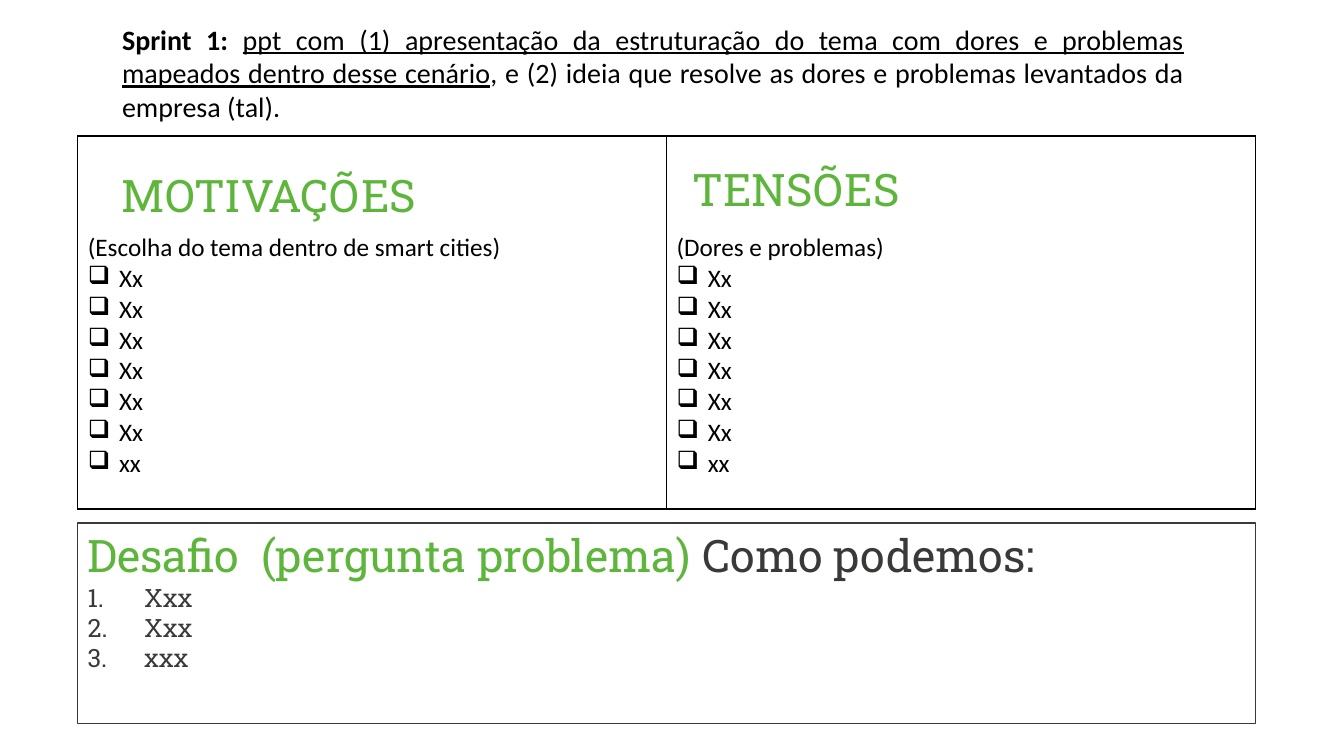
from lxml.etree import SubElement
from pptx import Presentation
from pptx.dml.color import RGBColor
from pptx.enum.shapes import MSO_SHAPE
from pptx.enum.text import MSO_ANCHOR, MSO_AUTO_SIZE, PP_ALIGN
from pptx.oxml.ns import qn
from pptx.util import Inches, Pt

WIDE, HIGH = Inches(13.33), Inches(7.5)
HUES = {"ink": "000000", "green": "5EB53B", "gray": "3B3838", "white": "FFFFFF"}
BODY = {"name": "Calibri", "size": Pt(18)}
LEAD = {"name": "Calibri", "size": Pt(20), "bold": False}
HEAD = {"name": "Roboto Slab", "size": Pt(32)}
ITEM = {"name": "Roboto Slab", "size": Pt(18)}
LEFT, SPAN = 5.78, 87.62
BOX = {"tag": "a:buChar", "attrs": {"char": "❑"}, "dent": 0.31}
NUM = {"tag": "a:buAutoNum", "attrs": {"type": "arabicPeriod"}, "dent": 0.56}


def hue(name):
    """Return the named colour."""
    return RGBColor.from_string(HUES[name])


def place(left, top, width, height):
    """Turn percentages of the slide into lengths."""
    return [int(part * side / 100) for part, side in
            zip((left, top, width, height), (WIDE, HIGH, WIDE, HIGH))]


def apply(target, values):
    """Set each attribute in a dict of format values."""
    for key, value in values.items():
        setattr(target, key, value)


def write(para, text, style, tint):
    """Add one formatted run to a paragraph."""
    run = para.add_run()
    run.text = text
    apply(run.font, style)
    run.font.color.rgb = hue(tint)


def mark(para, kind):
    """Give a paragraph a hanging bullet or number."""
    props = para._p.get_or_add_pPr()
    dent = Inches(kind["dent"])
    props.set("marL", str(dent))
    props.set("indent", str(-dent))
    SubElement(props, qn(kind["tag"]), kind["attrs"])


def add_list(frame, items, kind, style, tint):
    """Append marked paragraphs to a text frame."""
    for item in items:
        para = frame.add_paragraph()
        mark(para, kind)
        write(para, item, style, tint)


def panel(slide, area, runs, edge=None):
    """Draw a white rectangle with a heading and return its text frame."""
    shape = slide.shapes.add_shape(MSO_SHAPE.RECTANGLE, *place(*area))
    shape.shadow.inherit = False
    shape.fill.solid()
    shape.fill.fore_color.rgb = hue("white")
    if edge:
        shape.line.color.rgb = hue(edge)
        shape.line.width = Pt(1)
    else:
        shape.line.fill.background()
    frame = shape.text_frame
    apply(frame, {"word_wrap": True, "vertical_anchor": MSO_ANCHOR.TOP})
    para = frame.paragraphs[0]
    para.alignment = PP_ALIGN.LEFT
    for text, tint in runs:
        write(para, text, HEAD, tint)
    return frame


def border(cell):
    """Draw a thin black line on all sides of a cell."""
    props = cell._tc.get_or_add_tcPr()
    for spot, side in enumerate(("lnL", "lnR", "lnT", "lnB")):
        line = props.makeelement(qn(f"a:{side}"), {"w": str(Pt(1))})
        fill = SubElement(line, qn("a:solidFill"))
        SubElement(fill, qn("a:srgbClr"), {"val": HUES["ink"]})
        props.insert(spot, line)


def add_title(slide):
    """Fill the title with the sprint brief."""
    title = slide.shapes.title
    apply(title, dict(zip(("left", "top", "width", "height"),
                          place(8.33, 2.27, 80.5, 17.47))))
    frame = title.text_frame
    apply(frame, {"word_wrap": True, "auto_size": MSO_AUTO_SIZE.NONE,
                  "vertical_anchor": MSO_ANCHOR.TOP})
    para = frame.paragraphs[0]
    para.alignment = PP_ALIGN.JUSTIFY
    write(para, "Sprint 1: ", LEAD | {"bold": True}, "ink")
    write(para, "ppt com (1) apresentação da estruturação do tema com dores e "
          "problemas mapeados dentro desse cenário", LEAD | {"underline": True}, "ink")
    write(para, ", e (2) ideia que resolve as dores e problemas levantados da "
          "empresa (tal).", LEAD, "ink")


def add_grid(slide, notes):
    """Build the table with one checklist per column."""
    table = slide.shapes.add_table(1, len(notes), *place(LEFT, 18, SPAN, 49.33)).table
    apply(table, {"first_row": False, "horz_banding": False})
    for cell, note in zip(table.rows[0].cells, notes):
        cell.fill.background()
        border(cell)
        cell.margin_top = Inches(0.96)
        frame = cell.text_frame
        write(frame.paragraphs[0], note, BODY, "ink")
        add_list(frame, ["Xx"] * 6 + ["xx"], BOX, BODY, "ink")


def main():
    """Build and save the slide."""
    deck = Presentation()
    apply(deck, {"slide_width": WIDE, "slide_height": HIGH})
    slide = deck.slides.add_slide(deck.slide_layouts[5])
    add_title(slide)
    panel(slide, (8.33, 21.47, 34.21, 8.4), [("MOTIVAÇÕES", "green")])
    panel(slide, (50.79, 20.8, 33.08, 8.4), [("TENSÕES", "green")])
    goal = panel(slide, (LEFT, 69.2, SPAN, 26.53),
                 [("Desafio  (pergunta problema) ", "green"),
                  ("Como podemos:", "gray")], "gray")
    add_list(goal, ["Xxx", "Xxx", "xxx"], NUM, ITEM, "gray")
    for para in goal.paragraphs:
        para.alignment = PP_ALIGN.LEFT
    add_grid(slide, ["(Escolha do tema dentro de smart cities)", "(Dores e problemas)"])
    deck.save("out.pptx")


if __name__ == "__main__":
    main()
